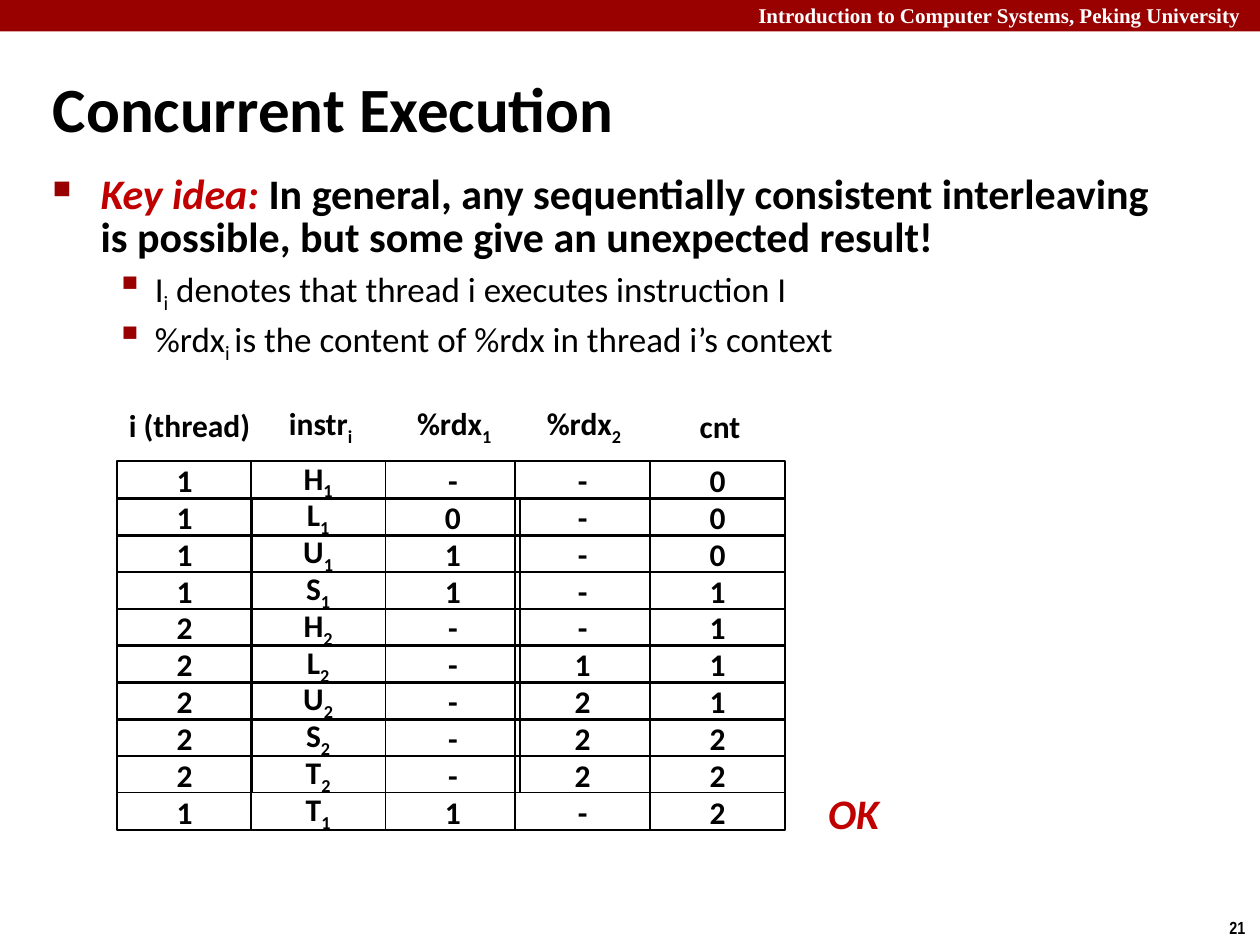
from lxml.etree import SubElement
from pptx import Presentation
from pptx.dml.color import RGBColor
from pptx.enum.shapes import MSO_SHAPE as SHAPE
from pptx.enum.text import MSO_ANCHOR as ANCHOR, MSO_AUTO_SIZE as AUTO, PP_ALIGN as ALIGN
from pptx.oxml.ns import qn
from pptx.util import Inches, Pt

COLORS = {"bar": "990000", "accent": "C00000", "text": "000000", "paper": "FFFFFF"}
BASE = {"name": "Calibri", "size": 18, "bold": True, "italic": False, "color": "text"}
ACCENT = {"size": 24, "color": "accent", "italic": True}
LEAD = {"size": 24}
DETAIL = {"size": 20, "bold": False}
SUB = {"sub": True}

HEADERS = [("i (thread)", 0.92, 3.17, 1.17), ("instr_i", 2.19, 3.18, 0.71),
           ("%rdx_1", 3.2, 3.18, 0.81), ("%rdx_2", 4.23, 3.18, 0.81),
           ("cnt", 5.45, 3.18, 0.53)]
COLUMNS = [0, 1.06, 2.13, 3.16, 4.23]
STEPS = ["1 H_1 - - 0", "1 L_1 0 - 0", "1 U_1 1 - 0", "1 S_1 1 - 1", "2 H_2 - - 1",
         "2 L_2 - 1 1", "2 U_2 - 2 1", "2 S_2 - 2 2", "2 T_2 - 2 2", "1 T_1 1 - 2"]
BULLETS = [
    {"char": "■", "scale": 60, "left": 0.38, "hang": 0.38, "spacing": 0.85, "before": 0,
     "runs": [("Key idea: ", ACCENT),
              ("In general, any sequentially consistent interleaving is possible, "
               "but some give an unexpected result!", LEAD)]},
    {"char": "▪", "scale": 110, "left": 0.81, "hang": 0.31, "spacing": 0.9, "before": 4,
     "runs": [("I", DETAIL), ("i", DETAIL | SUB),
              (" denotes that thread i executes instruction I", DETAIL)]},
    {"char": "▪", "scale": 110, "left": 0.81, "hang": 0.31, "spacing": 0.9, "before": 4,
     "runs": [("%rdx", DETAIL), ("i ", DETAIL | SUB),
              ("is the content of %rdx in thread i’s context", DETAIL)]},
]


def rgb(key):
    return RGBColor.from_string(COLORS[key])


def add_run(p, text, fmt):
    r = p.add_run()
    r.text = text
    for key, value in (BASE | fmt).items():
        if key == "color":
            r.font.color.rgb = rgb(value)
        elif key == "sub":
            r.font._element.set("baseline", "-25000")
        else:
            setattr(r.font, key, Pt(value) if key == "size" else value)


def add_label(p, label, fmt):
    main, _, sub = label.partition("_")
    add_run(p, main, fmt)
    if sub:
        add_run(p, sub, fmt | SUB)


def add_text(s, box, label, fmt, align=ALIGN.CENTER, anchor=ANCHOR.MIDDLE, wrap=False):
    tf = s.shapes.add_textbox(*map(Inches, box)).text_frame
    tf.word_wrap = wrap
    tf.vertical_anchor = anchor
    p = tf.paragraphs[0]
    p.alignment = align
    add_label(p, label, fmt)


def add_rect(s, box, fill=None, line=None):
    sp = s.shapes.add_shape(SHAPE.RECTANGLE, *map(Inches, box))
    sp.shadow.inherit = False
    if fill:
        sp.fill.solid()
        sp.fill.fore_color.rgb = rgb(fill)
    else:
        sp.fill.background()
    if line:
        sp.line.color.rgb = rgb(line)
        sp.line.width = Pt(1)
    else:
        sp.line.fill.background()
    return sp


def add_banner(s, box):
    add_rect(s, box, "bar")
    add_text(s, (5.92, -0.03, 4.15, 0.3), "Introduction to Computer Systems, Peking University",
             {"name": "Times New Roman", "size": 12, "color": "paper"},
             ALIGN.LEFT, ANCHOR.TOP, True)


def add_title(s, box):
    sp = s.shapes.title
    sp.left, sp.top, sp.width, sp.height = map(Inches, box)
    tf = sp.text_frame
    tf.auto_size = AUTO.NONE
    tf.vertical_anchor = ANCHOR.MIDDLE
    p = tf.paragraphs[0]
    p.alignment = ALIGN.LEFT
    add_run(p, "Concurrent Execution", {"size": 36})


def add_bullets(s, box):
    tf = s.shapes.add_textbox(*map(Inches, box)).text_frame
    tf.word_wrap = True
    for i, item in enumerate(BULLETS):
        p = tf.add_paragraph() if i else tf.paragraphs[0]
        pPr = p._p.get_or_add_pPr()
        pPr.set("marL", str(Inches(item["left"])))
        pPr.set("indent", str(-Inches(item["hang"])))
        color = SubElement(pPr, qn("a:buClr"))
        SubElement(color, qn("a:srgbClr"), val=COLORS["bar"])
        SubElement(pPr, qn("a:buSzPct"), val=str(item["scale"] * 1000))
        SubElement(pPr, qn("a:buChar"), char=item["char"])
        p.level = 1 if i else 0
        p.line_spacing = item["spacing"]
        p.space_before = Pt(item["before"])
        for text, fmt in item["runs"]:
            add_run(p, text, fmt)


def add_trace(s, box):
    left, top, width, height = box
    cell_w, cell_h = 1.07, 0.3
    pitch = (height - cell_h) / (len(STEPS) - 1)
    for label, x, y, w in HEADERS:
        add_text(s, (x, y, w, 0.4), label, {})
    for row, step in enumerate(STEPS):
        fill = "paper" if row in (0, len(STEPS) - 1) else None
        for x, label in zip(COLUMNS, step.split()):
            sp = add_rect(s, (left + x, top + row * pitch, cell_w, cell_h), fill, "text")
            tf = sp.text_frame
            tf.vertical_anchor = ANCHOR.MIDDLE
            p = tf.paragraphs[0]
            p.alignment = ALIGN.CENTER
            add_label(p, label, {})
    add_text(s, (left + width + 0.24, 6.2, 0.61, 0.5), "OK", ACCENT)


def main():
    prs = Presentation()
    prs.slide_width, prs.slide_height = Inches(10), Inches(7.5)
    s = prs.slides.add_slide(prs.slide_layouts[5])
    add_banner(s, (0, 0, 10, 0.25))
    add_title(s, (0.32, 0.54, 7.24, 0.63))
    add_bullets(s, (0.32, 1.34, 9.09, 1.59))
    add_trace(s, (0.93, 3.66, 5.3, 2.93))
    add_text(s, (9.66, 7.23, 0.34, 0.27), "21", {"name": "Arial Narrow", "size": 10},
             ALIGN.LEFT, ANCHOR.TOP)
    prs.save("out.pptx")


if __name__ == "__main__":
    main()
